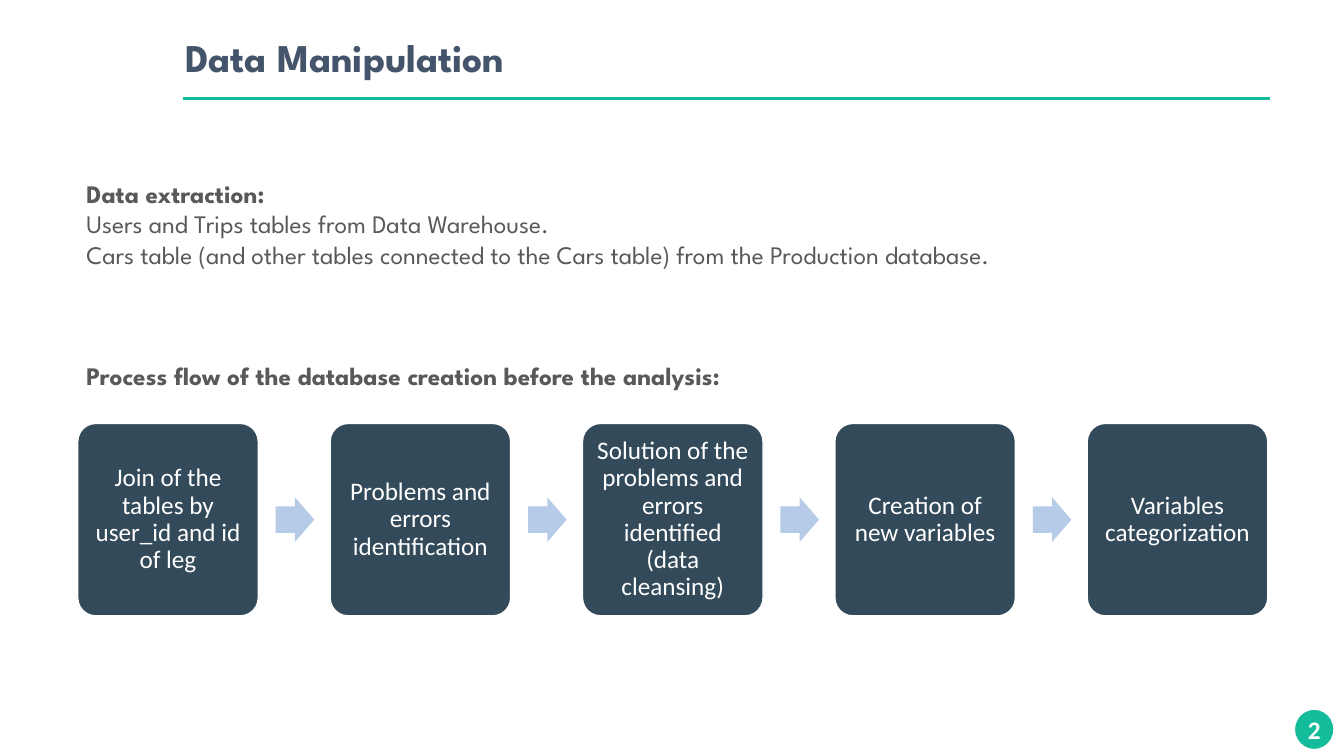
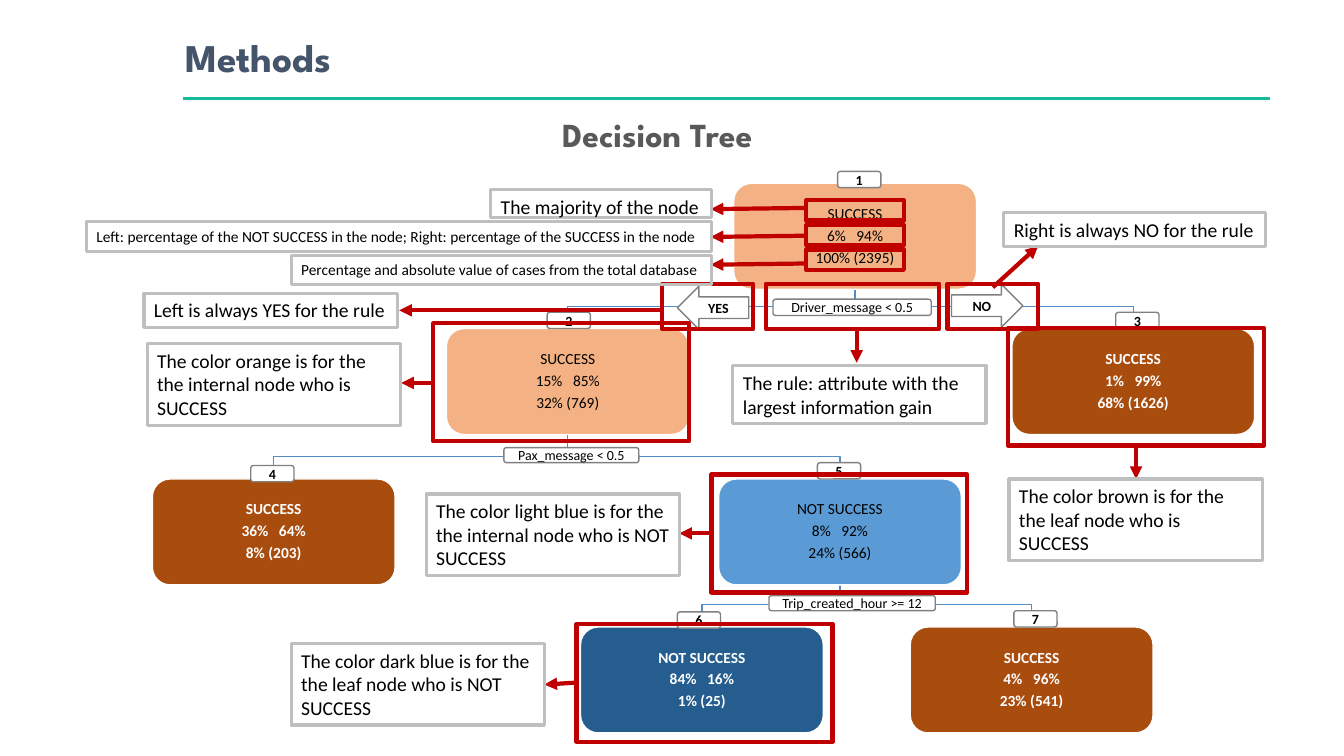
from pptx import Presentation
from pptx.dml.color import RGBColor
from pptx.enum.shapes import MSO_CONNECTOR as Connector, MSO_SHAPE as Shape
from pptx.enum.text import MSO_ANCHOR as Anchor, PP_ALIGN as Align
from pptx.oxml.ns import qn
from pptx.util import Cm, Pt
from lxml.etree import SubElement

COLORS = {
    "title": "44546A", "body": "595959", "accent": "14BC9C", "white": "FFFFFF",
    "black": "000000", "step": "334A5A", "step_arrow": "B5CBE7",
    "orange": "F4B183", "brown": "A94D0F", "light_blue": "5B9BD5",
    "dark_blue": "255D8F", "branch": "538DC1", "label_line": "808080",
    "callout_line": "BFBFBF", "highlight": "C00000",
}
HEADING_FONT = "League Spartan"
BODY_FONT = "Calibri"


def rgb(name):
    return RGBColor.from_string(COLORS[name])


def write_text(frame, text, size=18, color="black", font=BODY_FONT, bold=False,
               align=Align.LEFT, spacing=None, before=0, after=0):
    paragraph = frame.add_paragraph() if frame.text else frame.paragraphs[0]
    paragraph.alignment = align
    paragraph.space_before, paragraph.space_after = Pt(before), Pt(after)
    if spacing:
        paragraph.line_spacing = spacing
    pieces = [text] if isinstance(text, str) else [text[0], " ", text[1]]
    for piece in pieces:
        run = paragraph.add_run()
        run.text = piece
        run.font.size, run.font.name, run.font.bold = Pt(size), font, bold
        run.font.color.rgb = rgb(color)
        if piece == " ":
            run._r.get_or_add_rPr().set("spc", "500")


class Deck:
    node_width, node_height = 6.12, 2.67

    def __init__(self):
        self.presentation = Presentation()
        self.presentation.slide_width = Cm(33.87)
        self.presentation.slide_height = Cm(19.05)
        self.slide = None

    def add_slide(self, title):
        self.slide = self.presentation.slides.add_slide(self.presentation.slide_layouts[6])
        self.heading(title, 4.42, 0.71, 22.66, 1.45, size=28, color="title")
        self.line((4.62, 2.48), (32, 2.48), "accent", 2.5)

    def textbox(self, left, top, width, height):
        box = self.slide.shapes.add_textbox(Cm(left), Cm(top), Cm(width), Cm(height))
        box.text_frame.word_wrap = True
        return box.text_frame

    def heading(self, text, left, top, width, height, **style):
        write_text(self.textbox(left, top, width, height), text,
                   font=HEADING_FONT, bold=True, **style)

    def shape(self, kind, left, top, width, height, fill=None, line=None,
              weight=1, inset=0, adjust=()):
        shape = self.slide.shapes.add_shape(kind, Cm(left), Cm(top), Cm(width), Cm(height))
        self.paint(shape, fill, line, weight)
        for index, value in enumerate(adjust):
            shape.adjustments[index] = value
        frame = shape.text_frame
        frame.word_wrap = True
        frame.vertical_anchor = Anchor.MIDDLE
        frame.margin_left = frame.margin_right = Cm(inset)
        frame.margin_top = frame.margin_bottom = Cm(inset)
        return frame

    def paint(self, shape, fill, line, weight):
        shape.shadow.inherit = False
        if fill:
            shape.fill.solid()
            shape.fill.fore_color.rgb = rgb(fill)
        else:
            shape.fill.background()
        if line:
            shape.line.color.rgb = rgb(line)
            shape.line.width = Pt(weight)
        else:
            shape.line.fill.background()

    def line(self, start, end, color, weight, arrow=False):
        points = [Cm(value) for value in (*start, *end)]
        connector = self.slide.shapes.add_connector(Connector.STRAIGHT, *points)
        connector.line.color.rgb = rgb(color)
        connector.line.width = Pt(weight)
        if arrow:
            SubElement(connector.line._get_or_add_ln(), qn("a:tailEnd"), type="triangle")
        SubElement(connector._element.spPr, qn("a:effectLst"))

    def page_number(self, number):
        frame = self.shape(Shape.OVAL, 32.61, 17.86, 1.02, 1.04, "accent", "white", 1.5)
        write_text(frame, number, color="white", bold=True, align=Align.CENTER)

    def step(self, text, left, top, width, height):
        frame = self.shape(Shape.ROUNDED_RECTANGLE, left, top, width, height,
                           "step", "white", inset=0.18, adjust=(0.1,))
        write_text(frame, text, color="white", align=Align.CENTER, spacing=0.9)

    def node(self, left, top, fill, lines):
        frame = self.shape(Shape.ROUNDED_RECTANGLE, left, top, self.node_width,
                           self.node_height, fill, "white", inset=0.03)
        leaf = fill in ("brown", "dark_blue")
        for text in lines:
            write_text(frame, text, size=11, color="white" if leaf else "black",
                       bold=leaf, align=Align.CENTER, spacing=0.9, after=3.8)

    def branch(self, parent, child):
        start_x, end_x = (Cm(left + self.node_width / 2) for left in (parent[0], child[0]))
        start_y, end_y = Cm(parent[1] + self.node_height), Cm(child[1])
        bend_y = end_y - Cm(0.56)
        builder = self.slide.shapes.build_freeform(start_x, start_y)
        builder.add_line_segments([(start_x, bend_y), (end_x, bend_y), (end_x, end_y)],
                                  close=False)
        self.paint(builder.convert_to_shape(), None, "branch", 1)

    def label(self, text, left, top, width, height, kind=Shape.ROUNDED_RECTANGLE, bold=True):
        frame = self.shape(kind, left, top, width, height, "white", "label_line")
        write_text(frame, text, size=10, bold=bold, align=Align.CENTER)

    def highlight(self, left, top, width, height):
        self.shape(Shape.RECTANGLE, left, top, width, height, line="highlight", weight=3)

    def pointer(self, start, end):
        self.line(start, end, "highlight", 3, arrow=True)

    def callout(self, text, left, top, width, height, size=14):
        frame = self.shape(Shape.RECTANGLE, left, top, width, height,
                           line="callout_line", weight=2.25)
        frame.vertical_anchor = Anchor.TOP
        frame.margin_left = frame.margin_right = Cm(0.25)
        frame.margin_top = frame.margin_bottom = Cm(0.13)
        frame.word_wrap = height > 1
        write_text(frame, text, size=size)


def data_manipulation(deck):
    deck.add_slide("Data Manipulation")
    deck.page_number("2")
    frame = deck.textbox(1.93, 4.37, 30, 5.8)
    for text, bold, before in (
        ("Data extraction:", True, 0),
        ("Users and Trips tables from Data Warehouse.", False, 0),
        ("Cars table (and other tables connected to the Cars table) "
         "from the Production database.", False, 0),
        ("Process flow of the database creation before the analysis:", True, 65),
    ):
        write_text(frame, text, color="body", font=HEADING_FONT, bold=bold, before=before)

    steps = (
        "Join of the tables by user_id and id of leg",
        "Problems and errors identification",
        "Solution of the problems and errors identified (data cleansing)",
        "Creation of new variables",
        "Variables categorization",
    )
    left, top, width, height, pitch = 1.96, 10.67, 4.55, 4.85, 6.36
    arrow_width, arrow_height = 0.97, 1.12
    for index, text in enumerate(steps):
        step_left = left + index * pitch
        deck.step(text, step_left, top, width, height)
        if index < len(steps) - 1:
            deck.shape(Shape.RIGHT_ARROW, step_left + width + 0.44,
                       top + (height - arrow_height) / 2, arrow_width, arrow_height,
                       "step_arrow", adjust=(0.6, 0.5))


def decision_tree(deck):
    deck.add_slide("Methods")
    deck.heading("Decision Tree", 13.92, 2.74, 6.02, 1.27, size=24, color="body")

    levels = (4.62, 8.28, 12.07, 15.8)
    nodes = {
        "1": (18.49, levels[0], "orange", ("SUCCESS", ("6%", "94%"), "100% (2395)")),
        "2": (11.25, levels[1], "orange", ("SUCCESS", ("15%", "85%"), "32% (769)")),
        "3": (25.5, levels[1], "brown", ("SUCCESS", ("1%", "99%"), "68% (1626)")),
        "4": (3.84, levels[2], "brown", ("SUCCESS", ("36%", "64%"), "8% (203)")),
        "5": (18.11, levels[2], "light_blue", ("NOT SUCCESS", ("8%", "92%"), "24% (566)")),
        "6": (14.63, levels[3], "dark_blue", ("NOT SUCCESS", ("84%", "16%"), "1% (25)")),
        "7": (22.94, levels[3], "brown", ("SUCCESS", ("4%", "96%"), "23% (541)")),
    }
    for parent, child in ("12", "13", "24", "25", "56", "57"):
        deck.branch(nodes[parent], nodes[child])
    for node in nodes.values():
        deck.node(*node)

    tags = ((21.11, 4.32), (13.79, 7.87), (28.12, 7.87), (6.32, 11.73),
            (20.6, 11.66), (17.07, 15.42), (25.55, 15.39))
    for number, (left, top) in zip(nodes, tags):
        deck.label(number, left, top, 1.09, 0.41)
    deck.label("Driver_message < 0.5", 19.48, 7.54, 3.99, 0.41, bold=False)
    deck.label("Pax_message < 0.5", 12.7, 11.28, 3.4, 0.38, bold=False)
    deck.label("Trip_created_hour >= 12", 19.38, 15.01, 4.19, 0.38, bold=False)
    deck.label("NO", 23.98, 7.16, 1.8, 1.09, kind=Shape.RIGHT_ARROW)
    deck.label("YES", 17.07, 7.21, 1.8, 1.09, kind=Shape.LEFT_ARROW)

    for left, top in ((25.4, 8.26), (10.92, 8.15), (14.53, 15.72), (17.93, 11.96)):
        deck.highlight(left, top, 6.45, 2.97)
    for left, width in ((16.69, 2.29), (19.3, 4.37), (23.88, 2.29)):
        deck.highlight(left, 7.15, width, 1.14)
    for row in range(3):
        deck.highlight(20.32, 5.05 + row * 0.62, 2.46, 0.51)
        pointer_top = 5.24 + row * 0.7
        deck.pointer((20.27, pointer_top), (17.91, pointer_top + 0.03))

    for start, end in (
        ((16.69, 7.82), (10.06, 7.82)),
        ((25.02, 7.24), (26.16, 6.2)),
        ((28.63, 11.23), (28.63, 12.07)),
        ((10.92, 9.65), (10.11, 9.65)),
        ((14.53, 17.2), (13.72, 17.25)),
        ((17.93, 13.44), (17.12, 13.44)),
        ((21.59, 8.31), (21.59, 9.14)),
    ):
        deck.pointer(start, end)

    deck.callout("Left is always YES for the rule", 3.63, 7.39, 6.4, 0.86)
    deck.callout("Right is always NO for the rule", 25.3, 5.36, 6.6, 0.86)
    deck.callout("The majority of the node", 12.37, 4.78, 5.56, 0.71)
    deck.callout("Left: percentage of the NOT SUCCESS in the node; "
                 "Right: percentage of the SUCCESS in the node",
                 2.18, 5.59, 15.75, 0.74, size=11)
    deck.callout("Percentage and absolute value of cases from the total database",
                 7.34, 6.43, 10.59, 0.74, size=11)
    deck.callout("The rule: attribute with the largest information gain",
                 18.47, 9.22, 6.38, 1.45)
    for color, kind, left, top in (
        ("brown", "leaf node who is SUCCESS", 25.43, 12.07),
        ("orange", "internal node who is SUCCESS", 3.71, 8.66),
        ("dark blue", "leaf node who is NOT SUCCESS", 7.34, 16.21),
        ("light blue", "internal node who is NOT SUCCESS", 10.74, 12.45),
    ):
        deck.callout(f"The color {color} is for the the {kind}", left, top, 6.38, 2.06)


def main():
    deck = Deck()
    data_manipulation(deck)
    decision_tree(deck)
    deck.presentation.save("out.pptx")


if __name__ == "__main__":
    main()
